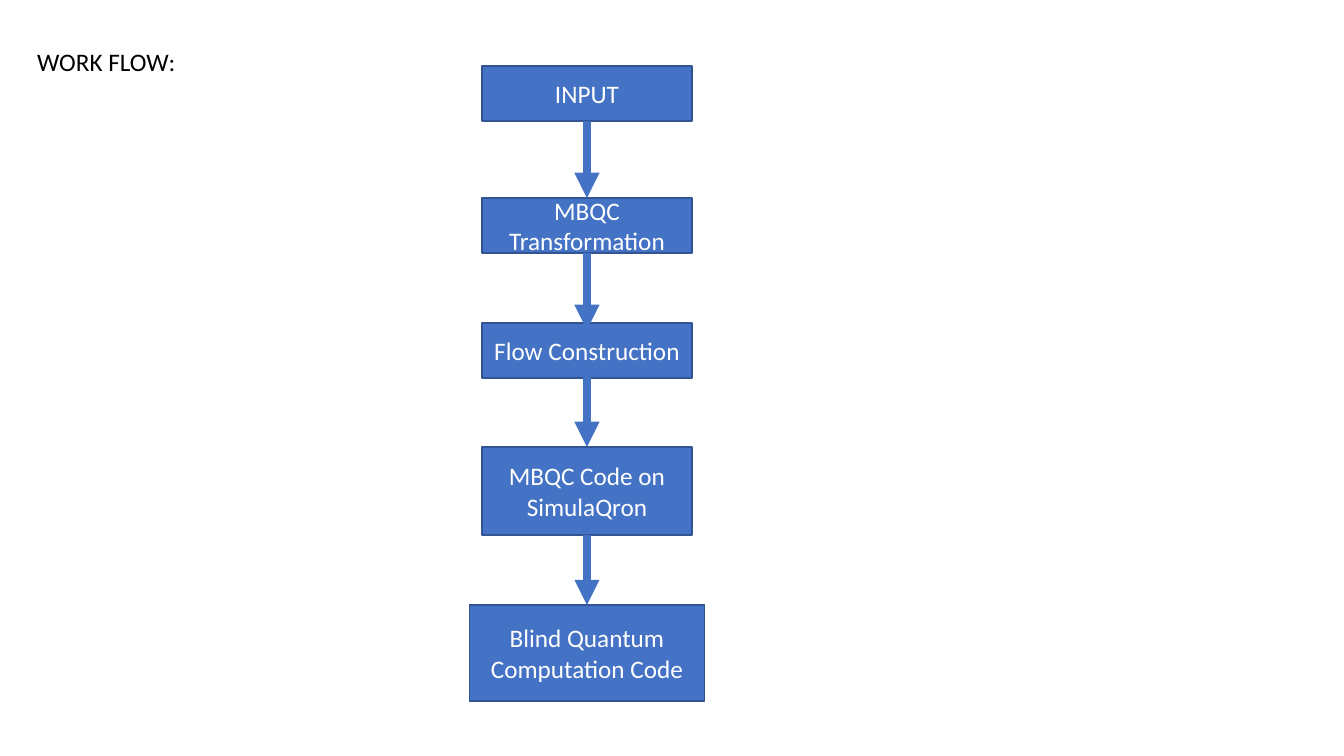
from dataclasses import dataclass

from lxml import etree
from pptx import Presentation
from pptx.dml.color import RGBColor
from pptx.enum.shapes import MSO_CONNECTOR, MSO_SHAPE
from pptx.enum.text import MSO_ANCHOR, MSO_AUTO_SIZE, PP_ALIGN
from pptx.oxml.ns import qn
from pptx.util import Pt

RECT = MSO_SHAPE.RECTANGLE
STRAIGHT = MSO_CONNECTOR.STRAIGHT
LEFT, CENTER = PP_ALIGN.LEFT, PP_ALIGN.CENTER
TOP, MIDDLE = MSO_ANCHOR.TOP, MSO_ANCHOR.MIDDLE
NO_FIT = MSO_AUTO_SIZE.NONE

SCALE = 914400 / 100.8  # EMU per pixel
AXIS = 587  # centre line of the flow

# Step: label, top, width, height
STEPS = [
    ("INPUT", 66, 210, 55),
    ("MBQC Transformation", 198, 210, 55),
    ("Flow Construction", 323, 210, 55),
    ("MBQC Code on SimulaQron", 447, 210, 88),
    ("Blind Quantum Computation Code", 605, 235, 96),
]
# Arrow: start, end
ARROWS = [(121, 198), (253, 330), (369, 447), (535, 605)]


@dataclass(frozen=True)
class Theme:
    font: str = "Calibri"
    size: float = 18
    ink: str = "000000"
    pale: str = "FFFFFF"
    fill: str = "4472C4"
    edge: str = "325491"
    thin: float = 1
    thick: float = 6


THEME = Theme()


def px(*values):
    return [round(value * SCALE) for value in values]


def rgb(code):
    return RGBColor.from_string(code)


def write(shape, text, color=THEME.ink, align=LEFT, anchor=TOP):
    frame = shape.text_frame
    frame.text = text
    frame.word_wrap = True
    frame.auto_size = NO_FIT
    frame.vertical_anchor = anchor
    frame.margin_left = frame.margin_right = Pt(7.2)
    frame.margin_top = frame.margin_bottom = Pt(3.6)
    para = frame.paragraphs[0]
    para.alignment = align
    para.line_spacing = 1.0
    para.space_before = Pt(0)
    font = para.runs[0].font
    font.name, font.size = THEME.font, Pt(THEME.size)
    font.color.rgb = rgb(color)


def head(slide, text):
    title = slide.shapes.title
    title.left, title.top, title.width, title.height = px(27, 41, 1245, 40)
    write(title, text)


def box(slide, text, top, width, height):
    place = px(AXIS - width / 2, top, width, height)
    shape = slide.shapes.add_shape(RECT, *place)
    shape.shadow.inherit = False
    shape.fill.solid()
    shape.fill.fore_color.rgb = rgb(THEME.fill)
    shape.line.color.rgb = rgb(THEME.edge)
    shape.line.width = Pt(THEME.thin)
    write(shape, text, color=THEME.pale, align=CENTER, anchor=MIDDLE)


def arrow(slide, start, end):
    link = slide.shapes.add_connector(STRAIGHT, *px(AXIS, start, AXIS, end))
    link.line.color.rgb = rgb(THEME.fill)
    link.line.width = Pt(THEME.thick)
    props = link._element.spPr
    etree.SubElement(props.find(qn("a:ln")), qn("a:tailEnd"), type="triangle")
    etree.SubElement(props, qn("a:effectLst"))


def main():
    deck = Presentation()
    deck.slide_width, deck.slide_height = px(1344, 756)
    slide = deck.slides.add_slide(deck.slide_layouts.get_by_name("Title Only"))

    # Heading
    head(slide, "WORK FLOW:")

    # Steps of the flow
    for step in STEPS:
        box(slide, *step)

    # Arrows between the steps
    for span in ARROWS:
        arrow(slide, *span)

    deck.save("out.pptx")


main()
